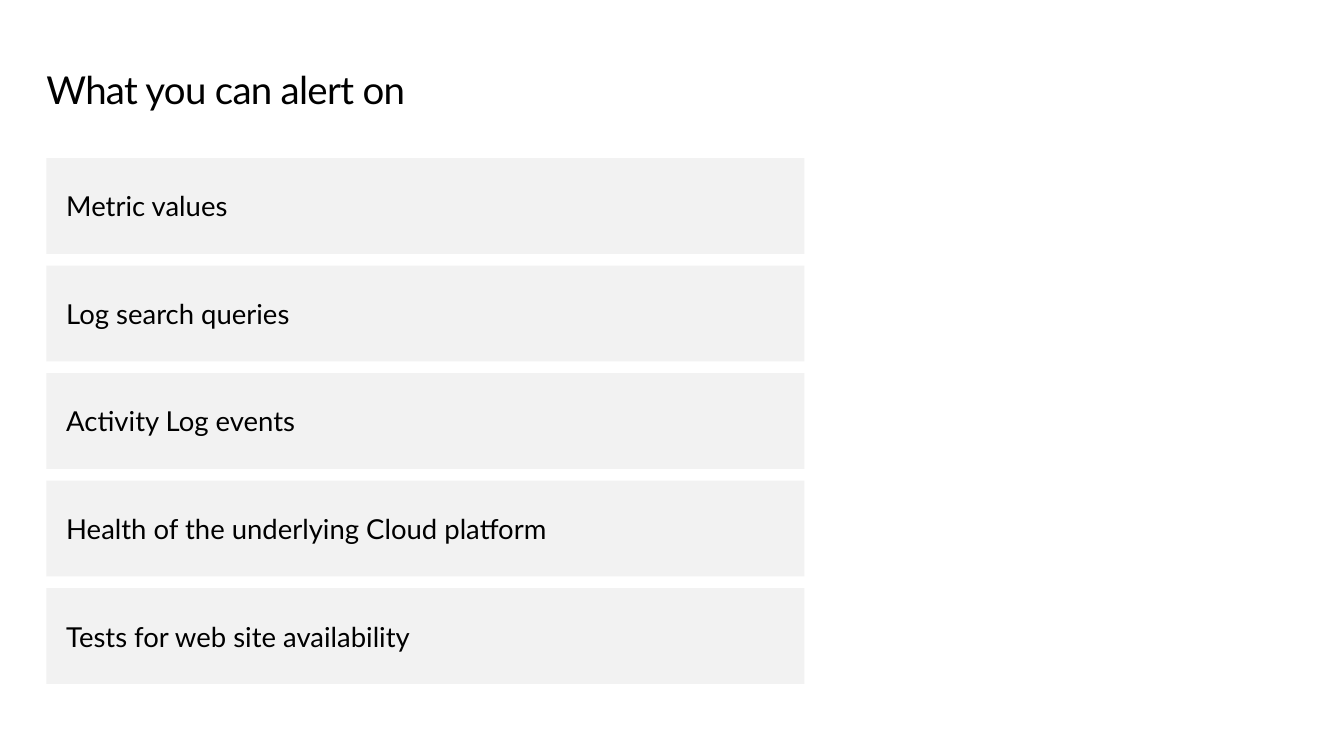
from pptx import Presentation
from pptx.dml.color import RGBColor
from pptx.enum.shapes import MSO_SHAPE as Shape
from pptx.enum.text import MSO_ANCHOR as Anchor, MSO_AUTO_SIZE as AutoSize, PP_ALIGN as Align
from pptx.util import Inches, Pt

BLACK = RGBColor(0x00, 0x00, 0x00)
PALE_GREY = RGBColor(0xF2, 0xF2, 0xF2)

TITLE_FONT = {"name": "Lato", "size": Pt(28), "bold": False}
CARD_FONT = {"name": "Lato", "size": Pt(20)}
TITLE_FRAME = {
    "margin_left": 0, "margin_right": 0, "margin_top": 0, "margin_bottom": 0,
    "vertical_anchor": Anchor.TOP, "word_wrap": True,
    "auto_size": AutoSize.SHAPE_TO_FIT_TEXT,
}
CARD_FRAME = {
    "margin_left": Inches(0.2), "margin_right": Inches(0.2),
    "margin_top": Inches(0.15), "margin_bottom": Inches(0.15),
    "vertical_anchor": Anchor.MIDDLE, "word_wrap": True,
}

ALERT_SOURCES = [
    "Metric values",
    "Log search queries",
    "Activity Log events",
    "Health of the underlying Cloud platform",
    "Tests for web site availability",
]


def apply_format(target, values):
    """Set each attribute of the target from a dict of format values."""
    for attribute, value in values.items():
        setattr(target, attribute, value)


def write_text(shape, wording, frame_format, font_format):
    """Write one left-aligned black paragraph and return it."""
    frame = shape.text_frame
    apply_format(frame, frame_format)
    paragraph = frame.paragraphs[0]
    paragraph.alignment = Align.LEFT
    run = paragraph.add_run()
    run.text = wording
    apply_format(run.font, font_format)
    run.font.color.rgb = BLACK
    return paragraph


def place_title(slide, wording, left, top, width, height):
    """Fit the title placeholder into the box and write its text."""
    title = slide.shapes.title
    box = {"left": left, "top": top, "width": width, "height": height}
    apply_format(title, {side: Inches(length) for side, length in box.items()})
    paragraph = write_text(title, wording, TITLE_FRAME, TITLE_FONT)
    paragraph.line_spacing = Pt(32)
    paragraph.runs[0]._r.get_or_add_rPr().set("spc", "-50")


def place_cards(slide, wordings, left, top, width, height, gap=0.12):
    """Stack equal cards, one per wording, to fill the box."""
    card_height = (height - gap * (len(wordings) - 1)) / len(wordings)
    for row, wording in enumerate(wordings):
        card_top = top + row * (card_height + gap)
        card = slide.shapes.add_shape(
            Shape.RECTANGLE, Inches(left), Inches(card_top), Inches(width), Inches(card_height)
        )
        card.shadow.inherit = False
        card.fill.solid()
        card.fill.fore_color.rgb = PALE_GREY
        card.line.fill.background()
        write_text(card, wording, CARD_FRAME, CARD_FONT)


def main():
    """Build the slide and save it."""
    deck = Presentation()
    deck.slide_width, deck.slide_height = Inches(13.6), Inches(7.65)
    slide = deck.slides.add_slide(deck.slide_layouts.get_by_name("Title Only"))
    place_title(slide, "What you can alert on", 0.47, 0.69, 12.65, 0.45)
    place_cards(slide, ALERT_SOURCES, 0.47, 1.6, 7.67, 5.32)
    deck.save("out.pptx")


if __name__ == "__main__":
    main()
